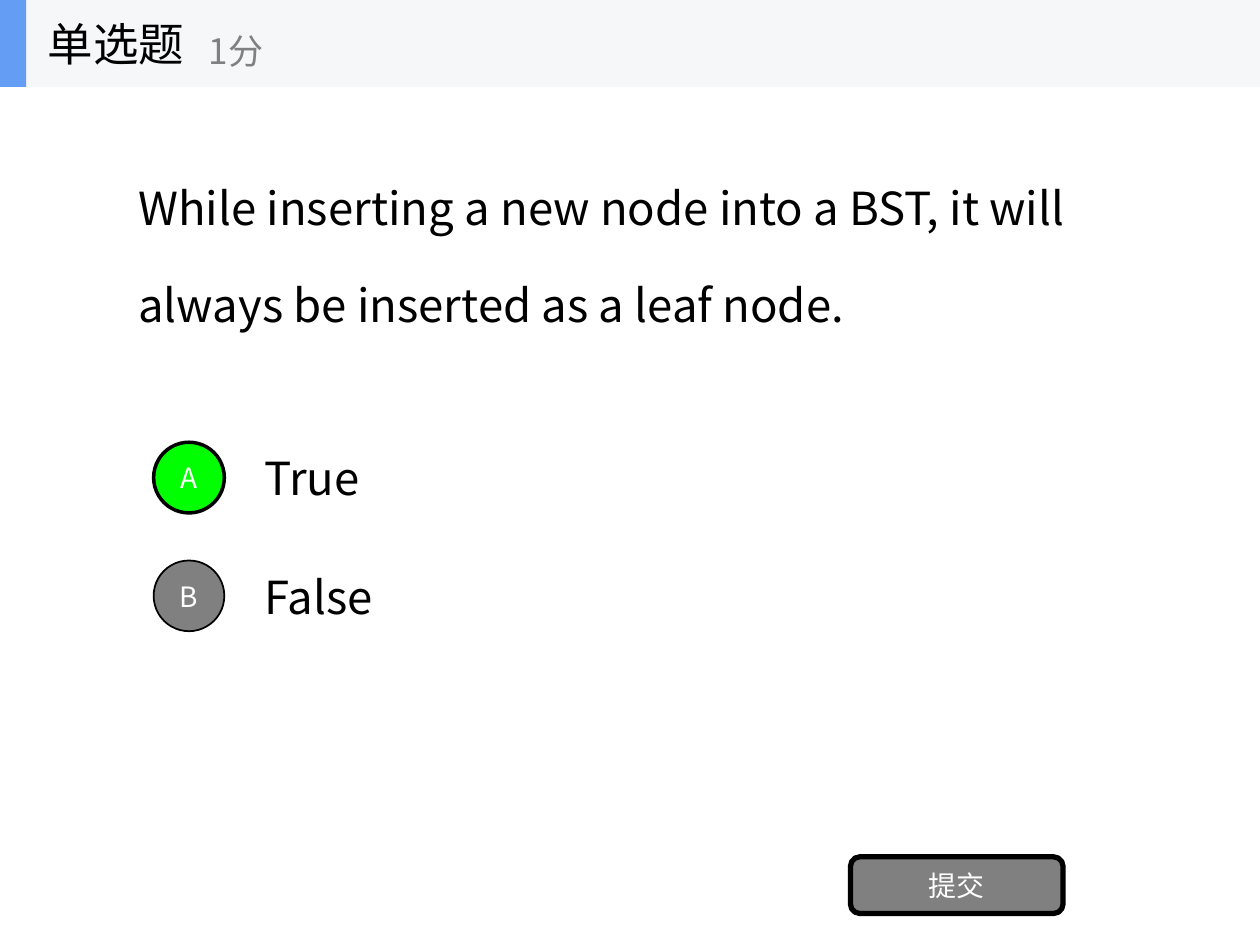
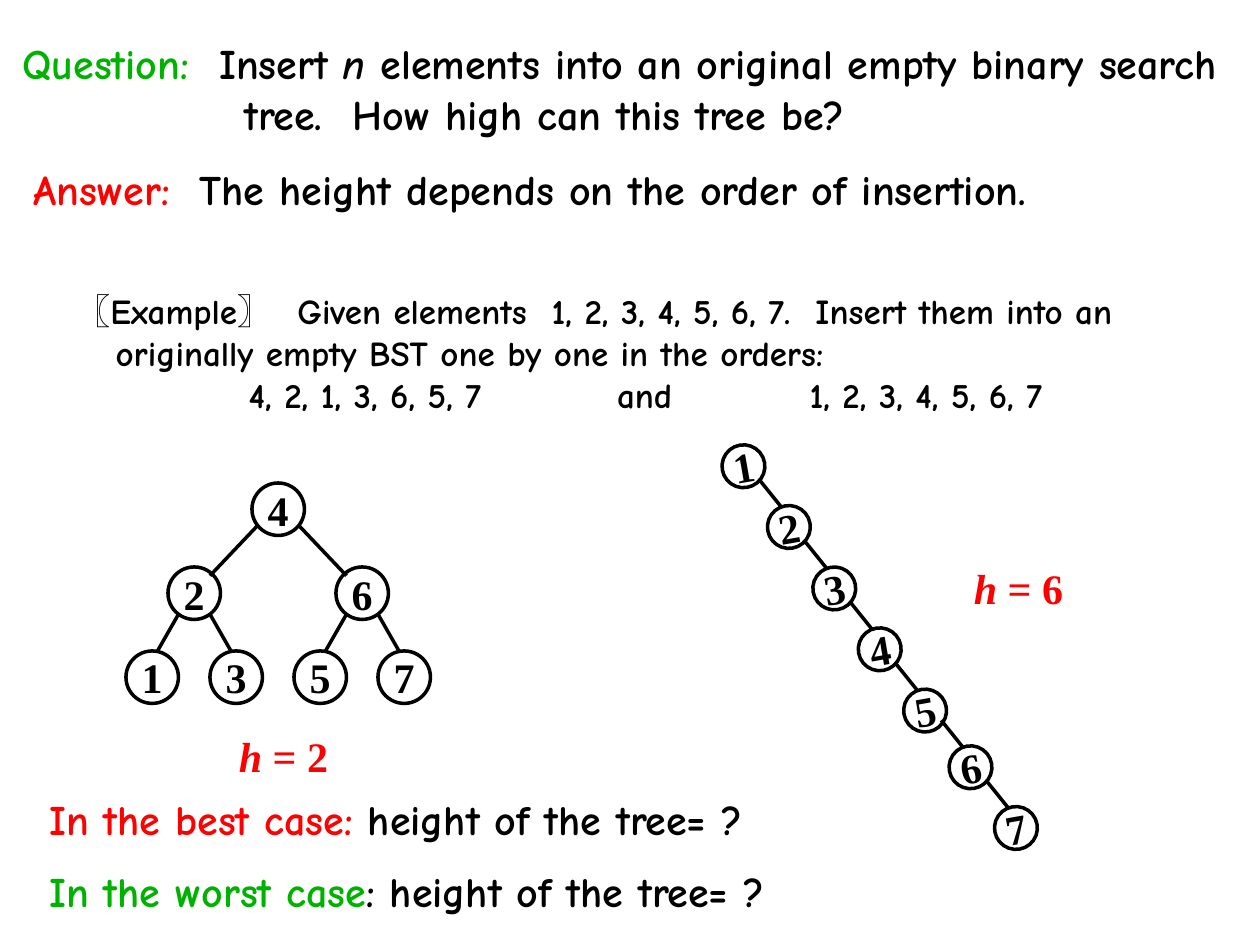
from typing import Any, NamedTuple, Optional

import pptx
import pptx.dml.color
import pptx.enum.shapes
import pptx.enum.text
import pptx.oxml.ns
import pptx.util
from lxml import etree

Pt = pptx.util.Pt
RGBColor = pptx.dml.color.RGBColor
SHAPE = pptx.enum.shapes.MSO_SHAPE
ALIGN = pptx.enum.text.PP_ALIGN
ANCHOR = pptx.enum.text.MSO_ANCHOR
qn = pptx.oxml.ns.qn

BLACK = RGBColor(0x00, 0x00, 0x00)
WHITE = RGBColor(0xFF, 0xFF, 0xFF)
GREY = RGBColor(0x80, 0x80, 0x80)
RED = RGBColor(0xFF, 0x00, 0x00)
GREEN = RGBColor(0x00, 0xB2, 0x00)
CORRECT = RGBColor(0x00, 0xFF, 0x00)
BAND = RGBColor(0xF6, 0xF7, 0xF8)
ACCENT = RGBColor(0x63, 0x9E, 0xF4)

SANS = "Noto Sans CJK SC"
COMIC = "Comic Neue"
SERIF = "Times New Roman"
HANGING = 126.75
LINE_WIDTH = 2


class Box(NamedTuple):
    left: float
    top: float
    width: float
    height: float


class Run(NamedTuple):
    text: str
    color: RGBColor = BLACK
    italic: bool = False


class Para(NamedTuple):
    runs: list[Run]
    before: float = 0
    hanging: float = 0
    tabs: tuple[float, ...] = ()


class Option(NamedTuple):
    letter: str
    answer: str
    fill: RGBColor
    line: float


class Edge(NamedTuple):
    """Offsets from the parent's centre; side is -1 for left, 1 for right."""
    parent: int
    side: int
    start: tuple[float, float]
    end: tuple[float, float]


OPTIONS = [Option("A", "True", CORRECT, 2), Option("B", "False", GREY, 1)]

NODE = 30
KEY_STEP = 24
LEVEL_STEP = 48
LEVELS = [[4], [2, 6], [1, 3, 5, 7]]
ROOT_LINK = ((11.5, 9), (39, 38))
LEAF_LINK = ((9, 12), (21, 33))
EDGES = [Edge(parent, side, *link)
         for parent, link in ((4, ROOT_LINK), (2, LEAF_LINK), (6, LEAF_LINK))
         for side in (-1, 1)]

CHAIN_NODE = 24.5
CHAIN_TOPS = [254.2, 288.9, 324, 358.8, 393.8, 426.2, 460.9]


def write(sp: Any, paras: list[Para], *, size: float, font: str = SANS,
          bold: bool = False, align: Any = ALIGN.LEFT, anchor: Any = ANCHOR.TOP,
          wrap: bool = True, inset: Optional[float] = None) -> None:
    tf = sp.text_frame
    tf.word_wrap = wrap
    tf.vertical_anchor = anchor
    if inset is not None:
        tf.margin_left = tf.margin_right = tf.margin_top = tf.margin_bottom = Pt(inset)
    for i, para in enumerate(paras):
        p = tf.paragraphs[0] if i == 0 else tf.add_paragraph()
        p.alignment = align
        pPr = p._p.get_or_add_pPr()
        if para.hanging:
            pPr.set("marL", str(Pt(para.hanging)))
            pPr.set("indent", str(-Pt(para.hanging)))
        if para.tabs:
            tab_list = etree.SubElement(pPr, qn("a:tabLst"))
            for stop in para.tabs:
                etree.SubElement(tab_list, qn("a:tab"), pos=str(Pt(stop)), algn="l")
        if para.before:
            p.space_before = Pt(para.before)
        for run in para.runs:
            r = p.add_run()
            r.text = run.text
            r.font.size = Pt(size)
            r.font.bold = bold
            r.font.italic = run.italic
            r.font.color.rgb = run.color
            r.font.name = font
            etree.SubElement(r._r.get_or_add_rPr(), qn("a:ea"), typeface=font)


def add_text(s: Any, box: Box, paras: list[Para], **fmt: Any) -> None:
    write(s.shapes.add_textbox(*map(Pt, box)), paras, **fmt)


def add_shape(s: Any, kind: Any, box: Box, fill: Optional[RGBColor] = None,
              line: float = 0) -> Any:
    sp = s.shapes.add_shape(kind, *map(Pt, box))
    sp.shadow.inherit = False
    if fill is None:
        sp.fill.background()
    else:
        sp.fill.solid()
        sp.fill.fore_color.rgb = fill
    if line:
        sp.line.color.rgb = BLACK
        sp.line.width = Pt(line)
    else:
        sp.line.fill.background()
    return sp


def add_line(s: Any, x1: float, y1: float, x2: float, y2: float) -> None:
    line = s.shapes.add_connector(pptx.enum.shapes.MSO_CONNECTOR.STRAIGHT,
                                  Pt(x1), Pt(y1), Pt(x2), Pt(y2))
    line.line.color.rgb = BLACK
    line.line.width = Pt(LINE_WIDTH)
    etree.SubElement(line._element.spPr, qn("a:effectLst"))


def add_node(s: Any, key: int, left: float, top: float, size: float,
             rotation: float = 0) -> None:
    sp = add_shape(s, SHAPE.OVAL, Box(left, top, size, size), line=LINE_WIDTH)
    sp.rotation = rotation
    write(sp, [Para([Run(str(key))])], size=24, font=SERIF, bold=True,
          align=ALIGN.CENTER, anchor=ANCHOR.MIDDLE, wrap=False, inset=0)


def add_button(s: Any, kind: Any, box: Box, label: str, fill: RGBColor,
               line: float) -> None:
    write(add_shape(s, kind, box, fill, line), [Para([Run(label, WHITE)])], size=16,
          align=ALIGN.CENTER, anchor=ANCHOR.MIDDLE, inset=0)


def add_height(s: Any, box: Box, height: int) -> None:
    add_text(s, box, [Para([Run("h", RED, True), Run(f" = {height}", RED)])],
             size=24, font=SERIF, bold=True, align=ALIGN.CENTER)


def add_balanced_tree(s: Any) -> None:
    """Each key is its own column; each level is a row."""
    places = {key: (48 + KEY_STEP * key, 276 + LEVEL_STEP * depth)
              for depth, keys in enumerate(LEVELS) for key in keys}
    for key, (left, top) in places.items():
        add_node(s, key, left, top, NODE)
    for edge in EDGES:
        x, y = (v + NODE / 2 for v in places[edge.parent])
        add_line(s, x + edge.side * edge.start[0], y + edge.start[1],
                 x + edge.side * edge.end[0], y + edge.end[1])


def add_chain(s: Any) -> None:
    for i, top in enumerate(CHAIN_TOPS):
        left = 412.6 + 25.95 * i
        add_node(s, i + 1, left, top, CHAIN_NODE, rotation=350)
        if i:
            add_line(s, left - 4.5, top - 14.6, left + 7.8, top + 0.7)


def build_quiz(s: Any) -> None:
    add_text(s, Box(72, 62, 576, 168.5), [
        Para([Run("While inserting a new node into a BST, it will")]),
        Para([Run("always be inserted as a leaf node.")], before=24.6),
    ], size=26, anchor=ANCHOR.MIDDLE)
    for i, option in enumerate(OPTIONS):
        top = 247.7 + 67.6 * i
        add_text(s, Box(144, top, 504, 50.4), [Para([Run(option.answer)])],
                 size=26, anchor=ANCHOR.MIDDLE)
        add_button(s, SHAPE.OVAL, Box(87.8, top + 5, 40.4, 40.4),
                   option.letter, option.fill, option.line)
    add_button(s, SHAPE.ROUNDED_RECTANGLE, Box(486, 489.6, 121.5, 32.4), "提交", GREY, 3)
    add_shape(s, SHAPE.RECTANGLE, Box(0, 0, 720, 49.7), BAND)
    add_shape(s, SHAPE.RECTANGLE, Box(0, 0, 15, 49.7), ACCENT)
    add_text(s, Box(20.2, 0, 150, 49.7), [Para([Run("单选题")])],
             size=26, anchor=ANCHOR.MIDDLE)
    add_text(s, Box(112.3, 8.6, 180, 40.3), [Para([Run("1分", GREY)])],
             size=20, anchor=ANCHOR.MIDDLE)


def build_heights(s: Any) -> None:
    add_text(s, Box(5.8, 18, 707.8, 65.5), [Para([
        Run("Question:", GREEN), Run("  Insert "), Run("n", italic=True),
        Run(" elements into an original empty binary search tree.  "
            "How high can this tree be?"),
    ], hanging=HANGING)], size=24, font=COMIC, bold=True)
    add_text(s, Box(12.2, 90, 653.8, 65.5), [Para([
        Run("Answer:", RED), Run("  The height depends on the order of insertion."),
    ], hanging=HANGING)], size=24, font=COMIC, bold=True)
    add_text(s, Box(36, 162, 666, 80), [
        Para([Run("〖Example〗  Given elements  1, 2, 3, 4, 5, 6, 7.  Insert them into "
                  "an originally empty BST one by one in the orders:")], hanging=23),
        Para([Run("\t4, 2, 1, 3, 6, 5, 7\tand\t1, 2, 3, 4, 5, 6, 7")],
             tabs=(99, 309.5, 419.5)),
    ], size=20, font=COMIC, bold=True)
    add_balanced_tree(s)
    add_height(s, Box(96, 414, 132, 36), 2)
    add_chain(s)
    add_height(s, Box(522, 318, 120, 36), 6)
    add_text(s, Box(21, 450, 569, 80), [
        Para([Run("In the best case: ", RED), Run("height of the tree= ?")]),
        Para([Run("In the worst case", GREEN), Run(": height of the tree= ?")], before=12),
    ], size=24, font=COMIC, bold=True)


def main() -> None:
    prs = pptx.Presentation()
    prs.slide_width, prs.slide_height = Pt(720), Pt(540)
    for build in (build_quiz, build_heights):
        build(prs.slides.add_slide(prs.slide_layouts[6]))
    prs.save("out.pptx")


if __name__ == "__main__":
    main()
